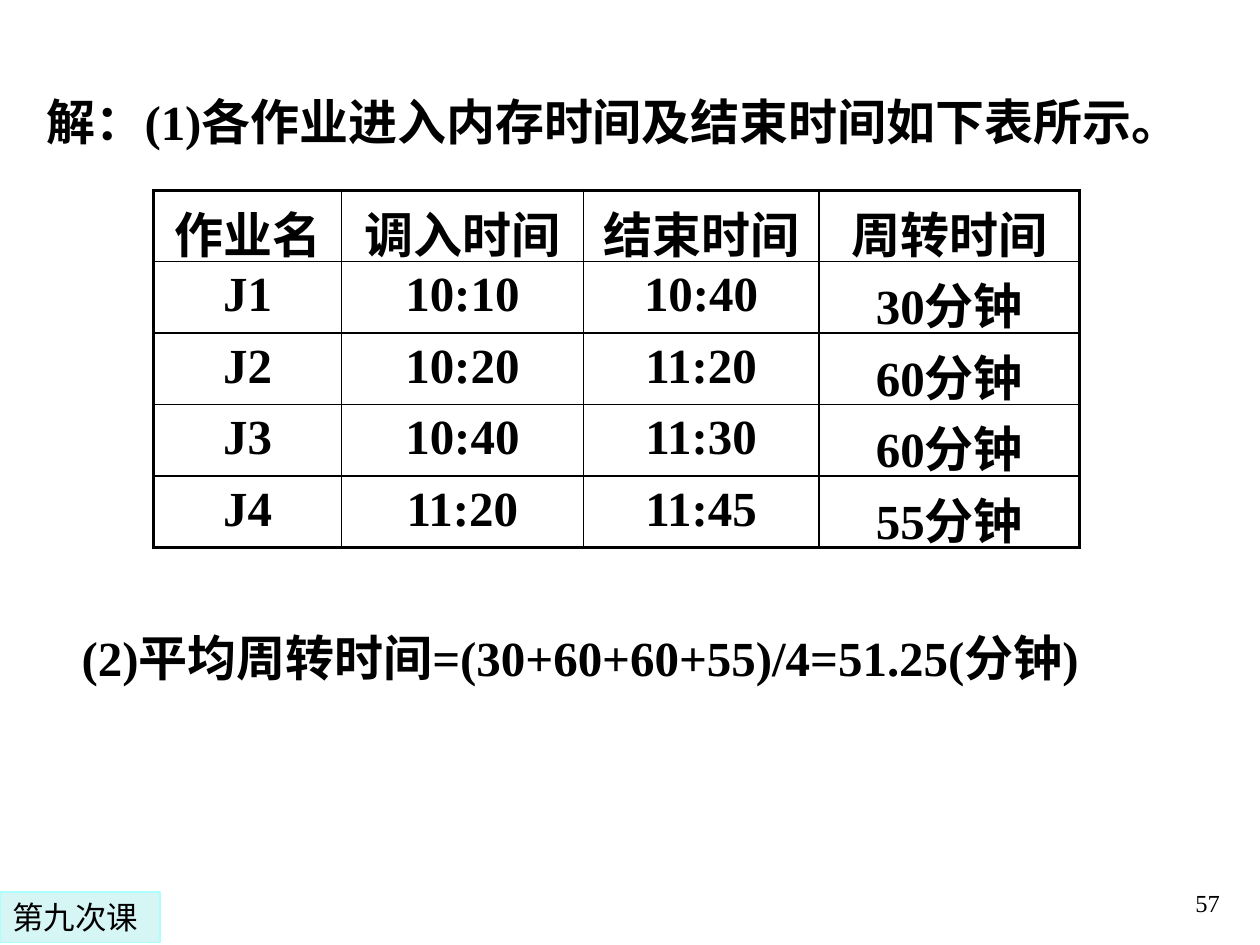
from lxml.etree import SubElement
from pptx import Presentation
from pptx.dml.color import RGBColor
from pptx.enum.shapes import MSO_SHAPE
from pptx.enum.text import MSO_ANCHOR, PP_ALIGN
from pptx.oxml.ns import qn
from pptx.util import Inches, Pt

COLORS = {"text": "000000", "tag_fill": "D6F5F5", "tag_line": "ADFFFF"}
SERIF, SANS = "Times New Roman", "DejaVu Sans"
THIN, THICK = 1, 2.25
COLUMN_WIDTHS = [1.49, 1.92, 1.87, 2.07]
TABLE_LEFT, TABLE_TOP, TABLE_HEIGHT = 1.22, 1.51, 2.83
JOBS = [
    ["作业名", "调入时间", "结束时间", "周转时间"],
    ["J1", "10:10", "10:40", "30分钟"],
    ["J2", "10:20", "11:20", "60分钟"],
    ["J3", "10:40", "11:30", "60分钟"],
    ["J4", "11:20", "11:45", "55分钟"],
]


def color(name):
    return RGBColor.from_string(COLORS[name])


def write_text(frame, text, size=28, font=SERIF, bold=True, align=PP_ALIGN.LEFT):
    frame.text = text
    paragraph = frame.paragraphs[0]
    paragraph.alignment = align
    paragraph.font.size = Pt(size)
    paragraph.font.name = font
    paragraph.font.bold = bold
    paragraph.font.color.rgb = color("text")
    return paragraph


def add_text_box(slide, box, text, anchor=MSO_ANCHOR.TOP, **style):
    shape = slide.shapes.add_textbox(*map(Inches, box))
    shape.text_frame.word_wrap = True
    shape.text_frame.vertical_anchor = anchor
    write_text(shape.text_frame, text, **style)


def set_title(slide, box, text):
    title = slide.shapes.title
    title.left, title.top, title.width, title.height = map(Inches, box)
    title.text_frame.vertical_anchor = MSO_ANCHOR.TOP
    write_text(title.text_frame, text)


def set_borders(cell, widths):
    properties = cell._tc.get_or_add_tcPr()
    for index, (side, width) in enumerate(widths.items()):
        line = SubElement(properties, qn(f"a:{side}"), w=str(Pt(width)))
        fill = SubElement(line, qn("a:solidFill"))
        SubElement(fill, qn("a:srgbClr"), val=COLORS["text"])
        # Border lines come before the cell's fill
        properties.insert(index, line)


def add_job_table(slide):
    row_count, column_count = len(JOBS), len(COLUMN_WIDTHS)
    frame = slide.shapes.add_table(
        row_count, column_count, Inches(TABLE_LEFT), Inches(TABLE_TOP),
        Inches(sum(COLUMN_WIDTHS)), Inches(TABLE_HEIGHT))
    table = frame.table
    table.first_row = table.horz_banding = False
    for column, width in zip(table.columns, COLUMN_WIDTHS):
        column.width = Inches(width)
    for i, values in enumerate(JOBS):
        for j, value in enumerate(values):
            cell = table.cell(i, j)
            cell.fill.background()
            paragraph = write_text(cell.text_frame, value, align=PP_ALIGN.CENTER)
            # Spacing before as a share of the line
            spacing = SubElement(paragraph._p.get_or_add_pPr(), qn("a:spcBef"))
            SubElement(spacing, qn("a:spcPct"), val="20000")
            paragraph._p.pPr.insert(0, spacing)
            # Thick outer frame, thin inner grid
            set_borders(cell, {
                "lnL": THICK if j == 0 else THIN,
                "lnR": THICK if j == column_count - 1 else THIN,
                "lnT": THICK if i == 0 else THIN,
                "lnB": THICK if i == row_count - 1 else THIN,
            })


def add_lesson_tag(slide, box, text):
    tag = slide.shapes.add_shape(MSO_SHAPE.RECTANGLE, *map(Inches, box))
    tag.shadow.inherit = False
    tag.fill.solid()
    tag.fill.fore_color.rgb = color("tag_fill")
    tag.line.color.rgb = color("tag_line")
    tag.line.width = Pt(0.75)
    tag.text_frame.vertical_anchor = MSO_ANCHOR.TOP
    write_text(tag.text_frame, text, size=18, font=SANS, bold=False)


def main():
    presentation = Presentation()
    presentation.slide_width, presentation.slide_height = Inches(10), Inches(7.5)
    slide = presentation.slides.add_slide(presentation.slide_layouts[5])

    # Page number
    add_text_box(slide, (7.7, 6.83, 2.08, 0.5), "57", anchor=MSO_ANCHOR.BOTTOM,
                 size=14, bold=False, align=PP_ALIGN.RIGHT)

    # Answer to both parts
    set_title(slide, (0.27, 0.68, 9.29, 0.57),
              "解：(1)各作业进入内存时间及结束时间如下表所示。")
    add_job_table(slide)
    add_text_box(slide, (0.55, 4.93, 9.15, 0.57),
                 "(2)平均周转时间=(30+60+60+55)/4=51.25(分钟)")

    # Lesson label
    add_lesson_tag(slide, (0, 7.08, 1.27, 0.4), "第九次课")
    presentation.save("out.pptx")


if __name__ == "__main__":
    main()
